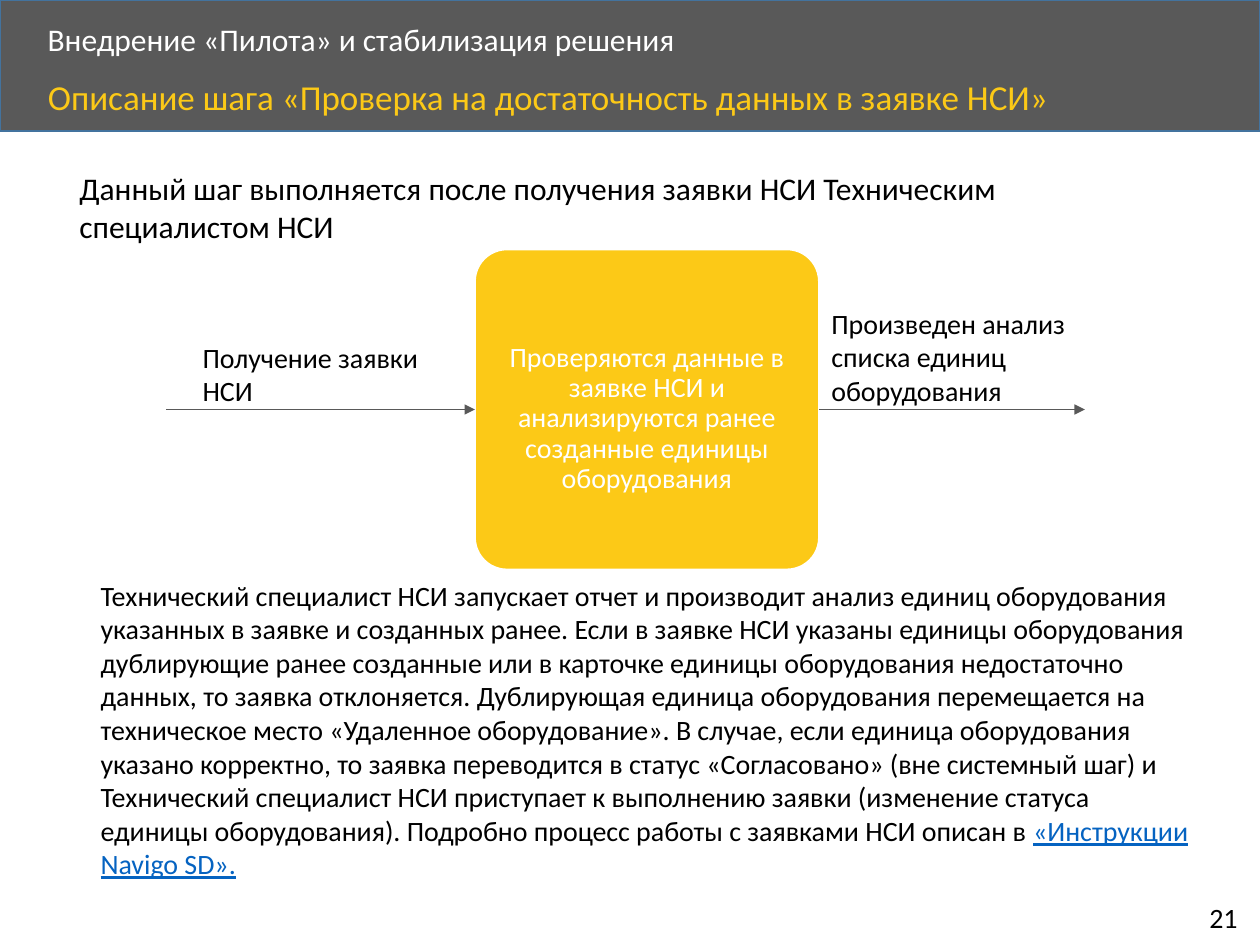
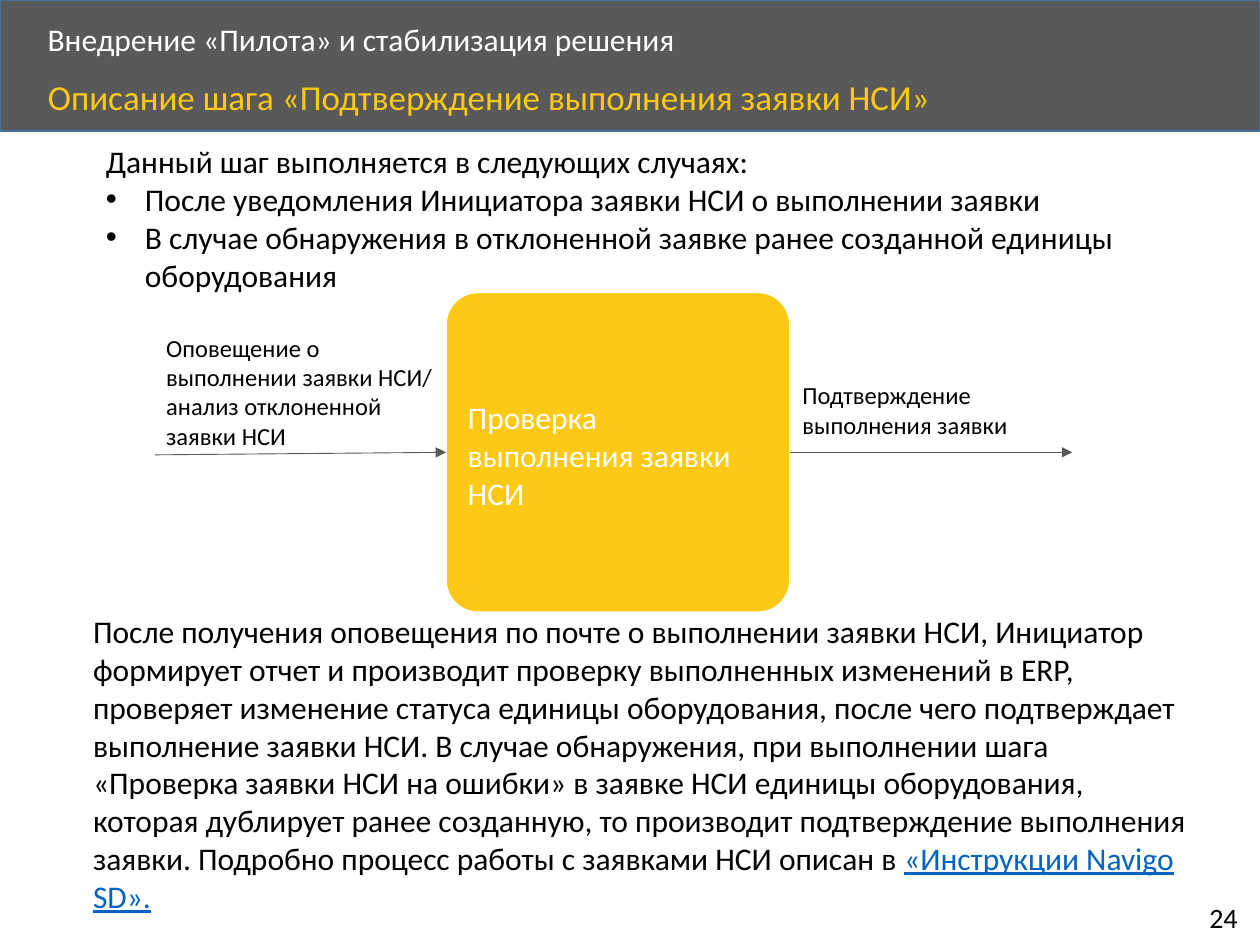
from lxml.etree import SubElement
from pptx import Presentation
from pptx.dml.color import RGBColor
from pptx.enum.shapes import MSO_CONNECTOR, MSO_SHAPE
from pptx.enum.text import MSO_ANCHOR, MSO_AUTO_SIZE, PP_ALIGN
from pptx.oxml.ns import qn
from pptx.util import Inches, Pt

FONT = "Calibri"
GRAY = RGBColor(0x59, 0x59, 0x59)
EDGE = RGBColor(0x43, 0x73, 0x9E)
GOLD = RGBColor(0xFC, 0xC9, 0x17)
LINK = RGBColor(0x05, 0x63, 0xC1)
WHITE = RGBColor(0xFF, 0xFF, 0xFF)
BLACK = RGBColor(0, 0, 0)

STAGE = "Внедрение «Пилота» и стабилизация решения"
GUIDE = "«Инструкции Navigo SD»."
BOX_W, BOX_H = 2.73, 2.54


def place(shape, left, top, width, height):
    shape.left, shape.top = Inches(left), Inches(top)
    shape.width, shape.height = Inches(width), Inches(height)


def add_run(para, text, size, color=BLACK, under=None):
    run = para.add_run()
    run.text = text
    font = run.font
    font.name, font.size, font.underline = FONT, Pt(size), under
    font.color.rgb = color


def add_text(slide, area, text, size, color=BLACK, wrap=True):
    box = slide.shapes.add_textbox(*map(Inches, area))
    box.text_frame.word_wrap = wrap
    para = box.text_frame.paragraphs[0]
    add_run(para, text, size, color)
    return para


def add_shape(slide, kind, area, fill, line):
    shape = slide.shapes.add_shape(kind, *map(Inches, area))
    shape.shadow.inherit = False
    shape.fill.solid()
    shape.fill.fore_color.rgb = fill
    shape.line.color.rgb = line
    shape.line.width = Pt(1)
    return shape


def add_head(slide, step, number):
    # Band goes behind the title placeholder
    title = slide.shapes.title
    band = add_shape(slide, MSO_SHAPE.RECTANGLE, (0, 0, 10, 1.04), GRAY, EDGE)
    title.element.addprevious(band.element)

    stage = add_text(slide, (0.28, 0.14, 8.07, 0.38), STAGE, 18, WHITE)
    stage.line_spacing = 0.9

    place(title, 0.28, 0.59, 8.67, 0.45)
    frame = title.text_frame
    frame.auto_size = MSO_AUTO_SIZE.NONE
    frame.vertical_anchor = MSO_ANCHOR.TOP
    para = frame.paragraphs[0]
    para.alignment = PP_ALIGN.LEFT
    para.line_spacing = 0.9
    add_run(para, step, 20, GOLD)

    add_text(slide, (9.5, 7.1, 0.46, 0.37), number, 16, wrap=False)


def add_intro(slide, area, lead, points=()):
    body = slide.placeholders[1]
    place(body, *area)
    frame = body.text_frame
    frame.auto_size = MSO_AUTO_SIZE.NONE
    for i, text in enumerate((lead, *points)):
        para = frame.add_paragraph() if i else frame.paragraphs[0]
        props = para._p.get_or_add_pPr()
        indent = Inches(0.31) if i else 0
        props.set("marL", str(indent))
        props.set("indent", str(-indent))
        if not i:
            SubElement(props, qn("a:buNone"))
        para.space_before = Pt(0)
        add_run(para, text, 18)


def add_step(slide, left, top, text, size, align, spacing, side, drop):
    box = add_shape(slide, MSO_SHAPE.ROUNDED_RECTANGLE,
                    (left, top, BOX_W, BOX_H), GOLD, WHITE)
    box.adjustments[0] = 0.1
    frame = box.text_frame
    frame.word_wrap = True
    frame.vertical_anchor = MSO_ANCHOR.MIDDLE
    frame.margin_left = frame.margin_right = Inches(side)
    frame.margin_top, frame.margin_bottom = Inches(drop), 0
    para = frame.paragraphs[0]
    para.alignment, para.line_spacing = align, spacing
    add_run(para, text, size, WHITE)
    return box


def add_arrow(slide, start, end, source=None, target=None):
    arrow = slide.shapes.add_connector(
        MSO_CONNECTOR.STRAIGHT, *map(Inches, (*start, *end)))
    if source:
        arrow.begin_connect(source, 3)
    if target:
        arrow.end_connect(target, 1)
    arrow.line.color.rgb = GRAY
    arrow.line.width = Pt(0.5)
    SubElement(arrow.line._get_or_add_ln(), qn("a:tailEnd"), type="triangle")
    SubElement(arrow.element.spPr, qn("a:effectLst"))


def add_flow(slide, box, left, top, tail, tip):
    # One arrow into the step box, one out of it
    mid = top + BOX_H / 2
    right = left + BOX_W
    add_arrow(slide, tail, (left, mid), target=box)
    add_arrow(slide, (right, mid), (tip, mid), source=box)


def add_detail(slide, area, text, size):
    para = add_text(slide, area, text, size)
    add_run(para, GUIDE, size, LINK, True)


def build_check(slide):
    add_head(slide, "Описание шага «Проверка на достаточность данных в заявке НСИ»", "21")
    add_intro(slide, (0.53, 1.29, 8.88, 0.71),
              "Данный шаг выполняется после получения заявки НСИ Техническим "
              "специалистом НСИ")
    left, top = 3.77, 1.98
    box = add_step(slide, left, top,
                   "Проверяются данные в заявке НСИ и анализируются ранее "
                   "созданные единицы оборудования",
                   16, PP_ALIGN.CENTER, 0.9, 0.01, 0.15)
    add_flow(slide, box, left, top, (1.32, 3.25), 8.61)
    add_text(slide, (1.51, 2.65, 2.33, 0.64), "Получение заявки НСИ", 16)
    add_text(slide, (6.5, 2.38, 2.68, 0.91),
             "Произведен анализ списка единиц оборудования", 16)
    add_detail(slide, (0.7, 4.54, 8.88, 2.52),
               "Технический специалист НСИ запускает отчет и производит анализ "
               "единиц оборудования указанных в заявке и созданных ранее. Если "
               "в заявке НСИ указаны единицы оборудования дублирующие ранее "
               "созданные или в карточке единицы оборудования недостаточно "
               "данных, то заявка отклоняется. Дублирующая единица оборудования "
               "перемещается на техническое место «Удаленное оборудование». "
               "В случае, если единица оборудования указано корректно, то "
               "заявка переводится в статус «Согласовано» (вне системный шаг) и "
               "Технический специалист НСИ приступает к выполнению заявки "
               "(изменение статуса единицы оборудования). Подробно процесс "
               "работы c заявками НСИ описан в ", 16)


def build_confirm(slide):
    add_head(slide, "Описание шага «Подтверждение выполнения заявки НСИ»", "24")
    add_intro(slide, (0.74, 1.08, 8.75, 1.31),
              "Данный шаг выполняется в следующих случаях:",
              ("После уведомления Инициатора заявки НСИ о выполнении заявки",
               "В случае обнаружения в отклоненной заявке ранее созданной "
               "единицы оборудования"))
    left, top = 3.54, 2.32
    box = add_step(slide, left, top, "Проверка выполнения заявки НСИ",
                   18, PP_ALIGN.LEFT, 1.0, 0.1, 0.04)
    add_flow(slide, box, left, top, (1.23, 3.61), 8.51)
    add_text(slide, (1.22, 2.59, 2.31, 1.04),
             "Оповещение о выполнении заявки НСИ/ анализ отклоненной заявки НСИ", 14)
    add_text(slide, (6.27, 2.97, 1.88, 0.57), "Подтверждение выполнения заявки", 14)
    add_detail(slide, (0.64, 4.81, 8.95, 2.83),
               "После получения оповещения по почте о выполнении заявки НСИ, "
               "Инициатор формирует отчет и производит проверку выполненных "
               "изменений в ERP, проверяет изменение статуса единицы "
               "оборудования, после чего подтверждает выполнение заявки НСИ. "
               "В случае обнаружения, при выполнении шага «Проверка заявки НСИ "
               "на ошибки» в заявке НСИ единицы оборудования, которая дублирует "
               "ранее созданную, то производит подтверждение выполнения заявки. "
               "Подробно процесс работы c заявками НСИ описан в ", 18)


def main():
    deck = Presentation()
    deck.slide_width, deck.slide_height = Inches(10), Inches(7.5)
    layout = deck.slide_layouts[1]
    for build in (build_check, build_confirm):
        build(deck.slides.add_slide(layout))
    deck.save("out.pptx")


if __name__ == "__main__":
    main()
